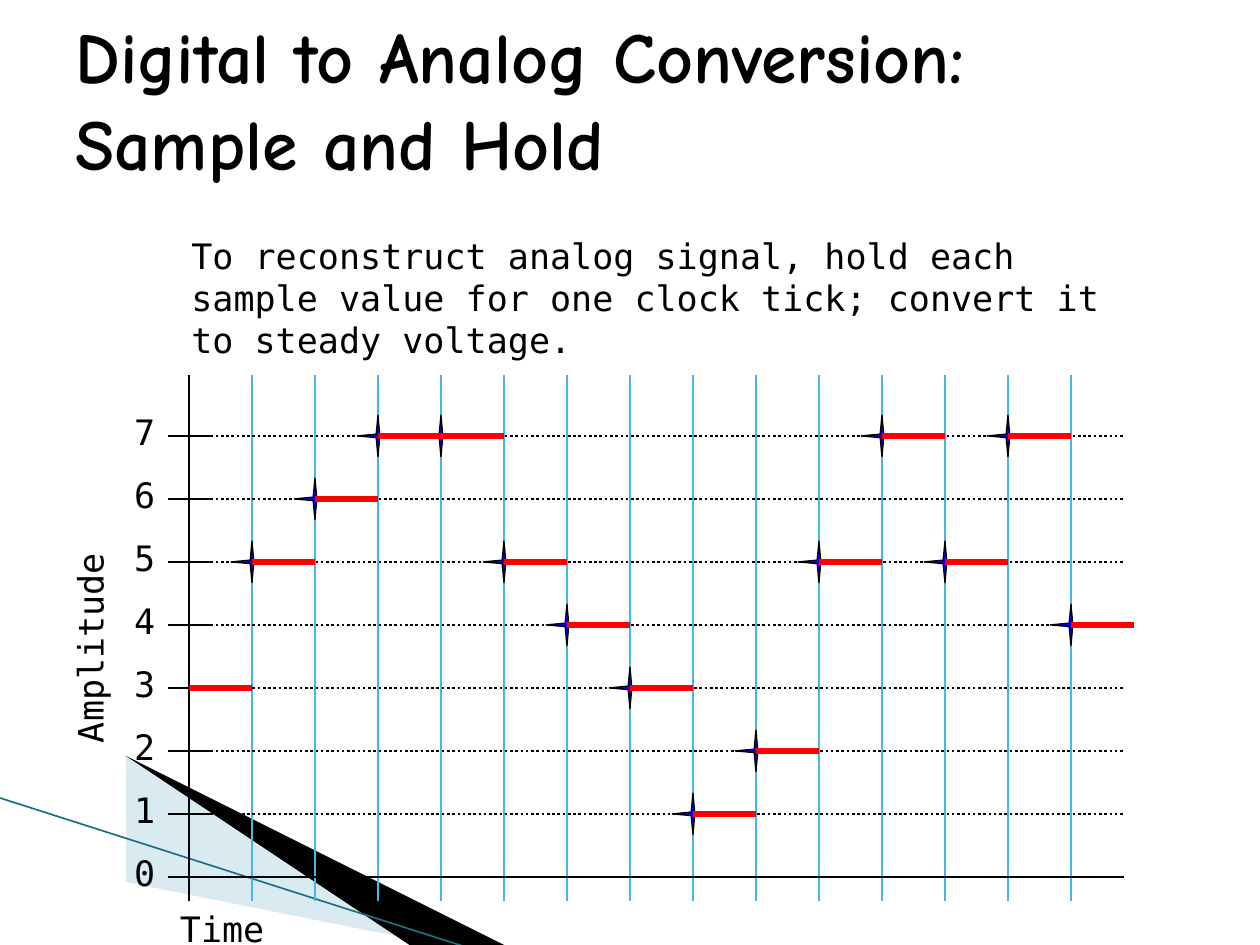
from lxml import etree
from pptx import Presentation
from pptx.dml.color import RGBColor
from pptx.enum.dml import MSO_LINE
from pptx.enum.shapes import MSO_CONNECTOR, MSO_SHAPE
from pptx.enum.text import MSO_ANCHOR, PP_ALIGN
from pptx.oxml.ns import qn
from pptx.util import Inches, Pt

STRAIGHT = MSO_CONNECTOR.STRAIGHT
STAR = MSO_SHAPE.STAR_4_POINT
DOTTED = MSO_LINE.ROUND_DOT
LEFT, RIGHT = PP_ALIGN.LEFT, PP_ALIGN.RIGHT
TOP, MIDDLE = MSO_ANCHOR.TOP, MSO_ANCHOR.MIDDLE

BLACK = RGBColor(0x00, 0x00, 0x00)
RED = RGBColor(0xFF, 0x00, 0x00)
BLUE = RGBColor(0x00, 0x00, 0xFF)
SKY = RGBColor(0x44, 0xB9, 0xE8)
PALE = RGBColor(0xA0, 0xCB, 0xDC)
TEAL = RGBColor(0x1F, 0x6F, 0x82)

TITLE_FONT, BODY_FONT = "Comic Neue", "DejaVu Sans Mono"
TITLE = "Digital to Analog Conversion: Sample and Hold"
EXPLANATION = ("To reconstruct analog signal, hold each sample value for "
               "one clock tick; convert it to steady voltage.")
SAMPLES = [3, 5, 6, 7, 7, 5, 4, 3, 1, 2, 5, 7, 5, 7, 4]
LEVELS = range(8)

STEP = 0.5
ORIGIN_X, ORIGIN_Y = 1.5, 6.96
GRID_TOP, GRID_BOTTOM = 2.98, 7.15
GRID_RIGHT = 8.92
TICK_HALF = 0.17
STAR_SIZE = 0.33
LABEL_WIDTH, LABEL_HEIGHT = 0.42, 0.44

PALE_WEDGE = [(0.55, 6.51), (5.95, 7.51), (4.56, 7.51), (0.55, 6.5)]
BLACK_WEDGE = [(0.53, 6.49), (4.57, 7.51), (3.72, 7.52), (0.54, 6.5)]

presentation = Presentation()
presentation.slide_width, presentation.slide_height = Inches(10), Inches(7.5)
slide = presentation.slides.add_slide(presentation.slide_layouts[6])


def tick_x(tick):
    return ORIGIN_X + tick * STEP


def level_y(level):
    return ORIGIN_Y - level * STEP


def add_line(start, end, color, width, dash=None):
    line = slide.shapes.add_connector(
        STRAIGHT, *[Inches(value) for value in (*start, *end)])
    line.line.color.rgb = color
    line.line.width = Pt(width)
    if dash:
        line.line.dash_style = dash
    etree.SubElement(line._element.spPr, qn("a:effectLst"))


def add_text(text, left, top, width, height, size=20, font=BODY_FONT,
             bold=False, align=LEFT, anchor=TOP, rotation=0):
    box = slide.shapes.add_textbox(
        *[Inches(value) for value in (left, top, width, height)])
    box.rotation = rotation
    frame = box.text_frame
    frame.word_wrap = True
    frame.vertical_anchor = anchor
    paragraph = frame.paragraphs[0]
    paragraph.alignment = align
    run = paragraph.add_run()
    run.text = text
    run.font.name = font
    run.font.size = Pt(size)
    run.font.bold = bold
    run.font.color.rgb = BLACK


def add_wedge(points, color, opacity=100):
    builder = slide.shapes.build_freeform(*points[0], scale=Inches(1))
    builder.add_line_segments(points[1:], close=True)
    wedge = builder.convert_to_shape()
    wedge.shadow.inherit = False
    wedge.line.fill.background()
    wedge.fill.solid()
    wedge.fill.fore_color.rgb = color
    if opacity < 100:
        color_element = wedge._element.spPr.find(".//" + qn("a:srgbClr"))
        alpha = etree.SubElement(color_element, qn("a:alpha"))
        alpha.set("val", str(opacity * 1000))


def add_star(x, y):
    star = slide.shapes.add_shape(
        STAR, Inches(x - STAR_SIZE / 2), Inches(y - STAR_SIZE / 2),
        Inches(STAR_SIZE), Inches(STAR_SIZE))
    star.adjustments[0] = 0.06
    star.shadow.inherit = False
    star.fill.solid()
    star.fill.fore_color.rgb = BLUE
    star.line.color.rgb = BLACK
    star.line.width = Pt(0.75)


add_wedge(PALE_WEDGE, PALE, opacity=40)
add_wedge(BLACK_WEDGE, BLACK)
add_line((-0.01, 6.33), (3.71, 7.52), TEAL, 0.95)

add_text(TITLE, 0.5, 0.04, 9, 1.48, size=41, font=TITLE_FONT, bold=True,
         anchor=MIDDLE)
add_text(EXPLANATION, 1.42, 1.81, 7.75, 0.77)

for tick in range(1, len(SAMPLES)):
    add_line((tick_x(tick), GRID_BOTTOM), (tick_x(tick), GRID_TOP), SKY, 1.5)
add_line((ORIGIN_X, GRID_TOP), (ORIGIN_X, GRID_BOTTOM), BLACK, 1.5)

tick_left, tick_right = ORIGIN_X - TICK_HALF, ORIGIN_X + TICK_HALF
for level in LEVELS:
    y = level_y(level)
    add_text(str(level), tick_left - LABEL_WIDTH, y - 0.25,
             LABEL_WIDTH, LABEL_HEIGHT, align=RIGHT)
    if level == 0:
        add_line((tick_left, y), (GRID_RIGHT, y), BLACK, 1.5)
    else:
        add_line((tick_left, y), (tick_right, y), BLACK, 1.5)
        add_line((tick_right, y), (GRID_RIGHT, y), BLACK, 1.5, DOTTED)

for tick, sample in enumerate(SAMPLES[1:], start=1):
    add_star(tick_x(tick), level_y(sample))

add_text("Amplitude", -0.16, 4.9, 1.75, LABEL_HEIGHT, rotation=270)
add_text("Time", tick_left, GRID_BOTTOM, 1, LABEL_HEIGHT)

for tick, sample in enumerate(SAMPLES):
    y = level_y(sample)
    add_line((tick_x(tick), y), (tick_x(tick + 1), y), RED, 3)

presentation.save("out.pptx")
